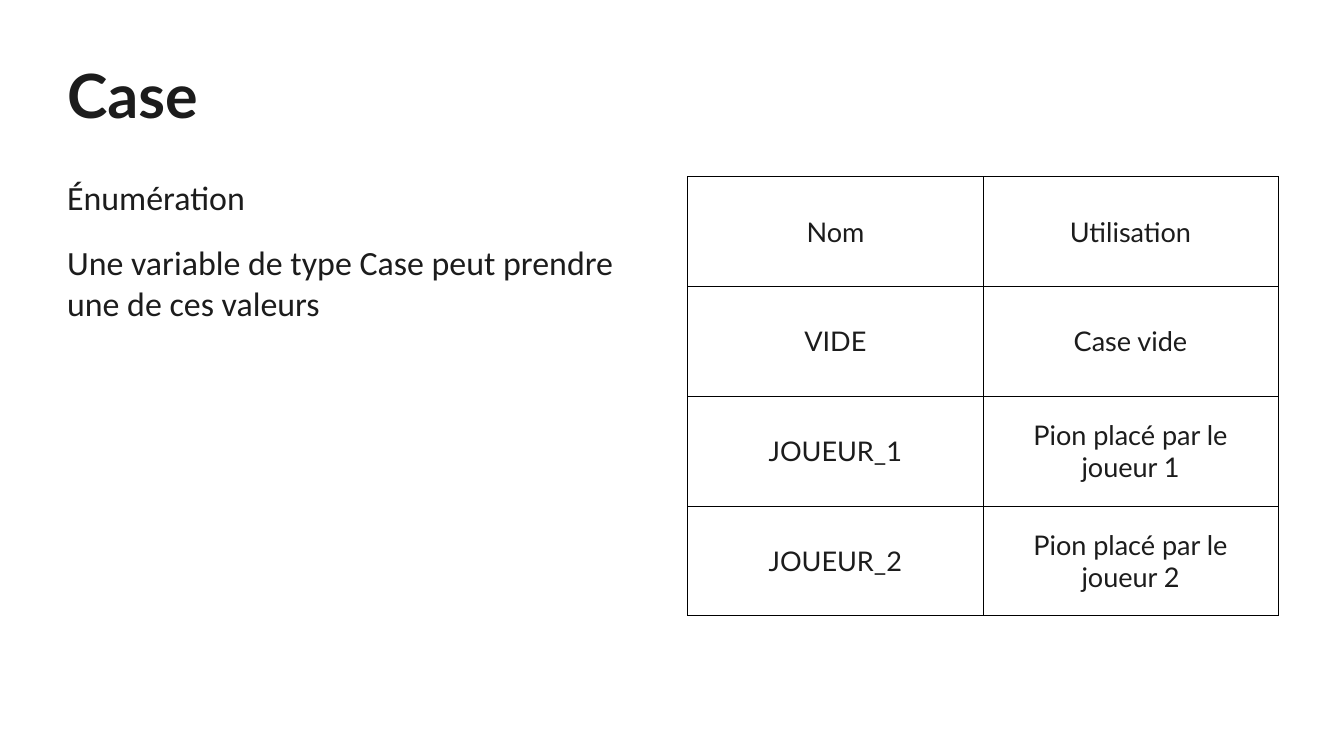
"""Build the slide that presents the Case enumeration and its values."""
from lxml.etree import SubElement
from pptx import Presentation
from pptx.dml.color import RGBColor
from pptx.enum.text import MSO_ANCHOR as Anchor, MSO_AUTO_SIZE as AutoSize, PP_ALIGN as Align
from pptx.oxml.ns import qn
from pptx.util import Inches, Pt

TITLE = "Case"
DESCRIPTION = [
    "Énumération",
    "Une variable de type Case peut prendre une de ces valeurs",
]
VALUES = [
    ("Nom", "Utilisation"),
    ("VIDE", "Case vide"),
    ("JOUEUR_1", "Pion placé par le joueur 1"),
    ("JOUEUR_2", "Pion placé par le joueur 2"),
]

INK = RGBColor(0x1C, 0x1C, 0x1C)
THEME = {
    "title": {"name": "Lato", "size": Pt(36), "bold": True},
    "description": {"name": "Calibri", "size": Pt(20), "bold": False},
    "values": {"name": "Lato", "size": Pt(16), "bold": False},
    "paper": RGBColor(0xFF, 0xFF, 0xFF),
    "border": "000000",
    "border_width": Pt(0.57),
    "paragraph_gap": Pt(14.2),
}
SLIDE_WIDTH, SLIDE_HEIGHT = 11.02, 6.2
MARGIN, CONTENT_TOP = 0.55, 1.45
COLUMN_WIDTH, CONTENT_HEIGHT = 4.84, 3.6
TABLE_LEFT = 5.64


def apply(target, formats):
    for name, value in formats.items():
        setattr(target, name, value)


def write(paragraph, text, role, align):
    paragraph.text = text
    paragraph.alignment = align
    apply(paragraph.font, THEME[role])
    paragraph.font.color.rgb = INK


def place(placeholder, left, top, width, height, anchor):
    box = {"left": left, "top": top, "width": width, "height": height}
    apply(placeholder, {side: Inches(length) for side, length in box.items()})
    insets = dict.fromkeys(("margin_left", "margin_top", "margin_right", "margin_bottom"), 0)
    apply(placeholder.text_frame, insets | {
        "word_wrap": True, "auto_size": AutoSize.NONE, "vertical_anchor": anchor})
    return placeholder.text_frame


def remove_bullet(paragraph):
    properties = paragraph._p.get_or_add_pPr()
    properties.set("marL", "0")
    properties.set("indent", "0")
    SubElement(properties, qn("a:buNone"))


def draw_borders(cell):
    properties = cell._tc.get_or_add_tcPr()
    for side in ("lnL", "lnR", "lnT", "lnB"):
        line = SubElement(properties, qn(f"a:{side}"), w=str(THEME["border_width"]))
        fill = SubElement(line, qn("a:solidFill"))
        SubElement(fill, qn("a:srgbClr"), val=THEME["border"])


def add_values(slide):
    frame = slide.shapes.add_table(
        len(VALUES), len(VALUES[0]), Inches(TABLE_LEFT), Inches(CONTENT_TOP),
        Inches(COLUMN_WIDTH), Inches(CONTENT_HEIGHT))
    table = frame.table
    apply(table, {"first_row": False, "horz_banding": False})
    for row, texts in enumerate(VALUES):
        for column, text in enumerate(texts):
            cell = table.cell(row, column)
            cell.vertical_anchor = Anchor.MIDDLE
            write(cell.text_frame.paragraphs[0], text, "values", Align.CENTER)
            draw_borders(cell)
            cell.fill.solid()
            cell.fill.fore_color.rgb = THEME["paper"]


def main():
    deck = Presentation()
    apply(deck, {"slide_width": Inches(SLIDE_WIDTH), "slide_height": Inches(SLIDE_HEIGHT)})
    slide = deck.slides.add_slide(deck.slide_layouts[1])

    heading = place(slide.shapes.title, MARGIN, 0.25, 9.92, 1.04, Anchor.MIDDLE)
    write(heading.paragraphs[0], TITLE, "title", Align.LEFT)

    description = place(slide.placeholders[1], MARGIN, CONTENT_TOP,
                        COLUMN_WIDTH, CONTENT_HEIGHT, Anchor.TOP)
    for index, text in enumerate(DESCRIPTION):
        paragraph = description.add_paragraph() if index else description.paragraphs[0]
        write(paragraph, text, "description", Align.LEFT)
        paragraph.space_before = THEME["paragraph_gap"]
        remove_bullet(paragraph)

    add_values(slide)
    deck.save("out.pptx")


if __name__ == "__main__":
    main()
